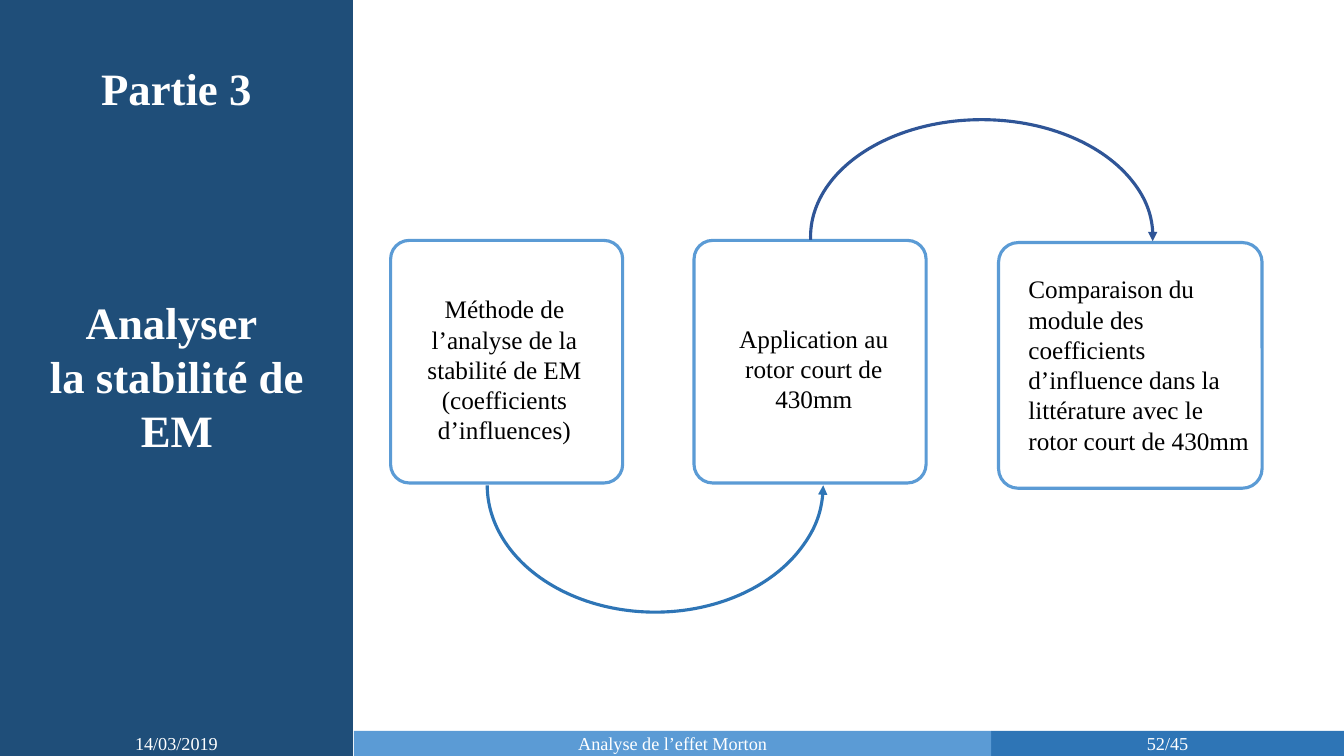
"""Build the section slide on the stability analysis of the Morton effect."""
from lxml.etree import SubElement
from pptx import Presentation
from pptx.dml.color import RGBColor
from pptx.enum.shapes import MSO_SHAPE as Shape
from pptx.enum.text import MSO_ANCHOR as Anchor, MSO_AUTO_SIZE as AutoSize, PP_ALIGN as Align
from pptx.oxml.ns import qn
from pptx.util import Pt

PX = 9525
FONT = "Times New Roman"
NAVY, BLUE, SKY, INDIGO = "1F4E79", "2E75B6", "5B9BD5", "2F5597"
WHITE, BLACK = "FFFFFF", "000000"
HEADING = {"size": Pt(32), "bold": True, "color": WHITE}
BODY = {"size": Pt(18), "bold": False, "color": BLACK}
FOOTER = {"size": Pt(13), "bold": False, "color": WHITE}


def color(hex_code):
    return RGBColor.from_string(hex_code)


def emu(box):
    return [length * PX for length in box]


def place(shape, box):
    for name, value in zip(("left", "top", "width", "height"), emu(box)):
        setattr(shape, name, value)


def write(shape, lines, style, align=Align.CENTER, anchor=Anchor.TOP, wrap=True):
    frame = shape.text_frame
    settings = {"word_wrap": wrap, "vertical_anchor": anchor, "auto_size": AutoSize.NONE}
    for name, value in settings.items():
        setattr(frame, name, value)
    frame.text = "\n".join(lines)
    for paragraph in frame.paragraphs:
        paragraph.alignment = align
        for run in paragraph.runs:
            run.font.name = FONT
            run.font.color.rgb = color(style["color"])
            for name in ("size", "bold"):
                setattr(run.font, name, style[name])


def add_text(slide, box, lines, style, **options):
    write(slide.shapes.add_textbox(*emu(box)), lines, style, **options)


def add_figure(slide, kind, box, fill=None, line=None, weight=2.25):
    shape = slide.shapes.add_shape(kind, *emu(box))
    shape.shadow.inherit = False
    if fill:
        shape.fill.solid()
        shape.fill.fore_color.rgb = color(fill)
    else:
        shape.fill.background()
    if line:
        shape.line.color.rgb = color(line)
        shape.line.width = Pt(weight)
    else:
        shape.line.fill.background()
    return shape


def add_footer(slide, left, width, fill, text):
    band = add_figure(slide, Shape.RECTANGLE, (left, 696, width, 24), fill)
    write(band, [text], FOOTER, anchor=Anchor.MIDDLE)


def add_card(slide, box):
    card = add_figure(slide, Shape.ROUNDED_RECTANGLE, box, line=SKY)
    card.adjustments[0] = 0.08


def add_arc_arrow(slide, box, line, angles, flipped=False):
    arc = add_figure(slide, Shape.ARC, box, line=line)
    for index, angle in enumerate(angles):
        arc.adjustments[index] = angle * 0.6
    properties = arc._element.spPr
    if flipped:
        properties.get_or_add_xfrm().set("flipV", "1")
    SubElement(properties.find(qn("a:ln")), qn("a:tailEnd"), type="triangle")


def main():
    presentation = Presentation()
    presentation.slide_width, presentation.slide_height = emu((1280, 720))
    slide = presentation.slides.add_slide(presentation.slide_layouts[5])

    sidebar = add_figure(slide, Shape.RECTANGLE, (0, 0, 336, 720), NAVY, NAVY, 1)
    title = slide.shapes.title
    title._element.addprevious(sidebar._element)
    place(title, (7, 276, 323, 165))
    write(title, ["Analyser ", "la stabilité de EM"], HEADING)
    add_text(slide, (86, 53, 164, 61), ["Partie 3"], HEADING, wrap=False)

    add_footer(slide, 944, 336, BLUE, "52/45")
    add_footer(slide, 0, 336, NAVY, "14/03/2019")
    add_footer(slide, 337, 607, SKY, "Analyse de l’effet Morton")

    add_text(slide, (385, 275, 191, 156),
             ["Méthode de l’analyse de la stabilité de EM", "(coefficients d’influences)"], BODY)
    add_text(slide, (661, 303, 228, 97), ["Application au\vrotor court de 430mm"], BODY)
    add_text(slide, (970, 256, 232, 184),
             ["Comparaison du module des coefficients d’influence dans la littérature "
              "avec le rotor court de 430mm"], BODY, align=Align.LEFT)

    for box in ((372, 229, 221, 231), (661, 229, 221, 231), (951, 231, 251, 234)):
        add_card(slide, box)
    add_arc_arrow(slide, (464, 341, 320, 242), BLUE, (180.08, 359.93), flipped=True)
    add_arc_arrow(slide, (772, 114, 326, 223), INDIGO, (178.96, 1.5))

    presentation.save("out.pptx")


if __name__ == "__main__":
    main()
